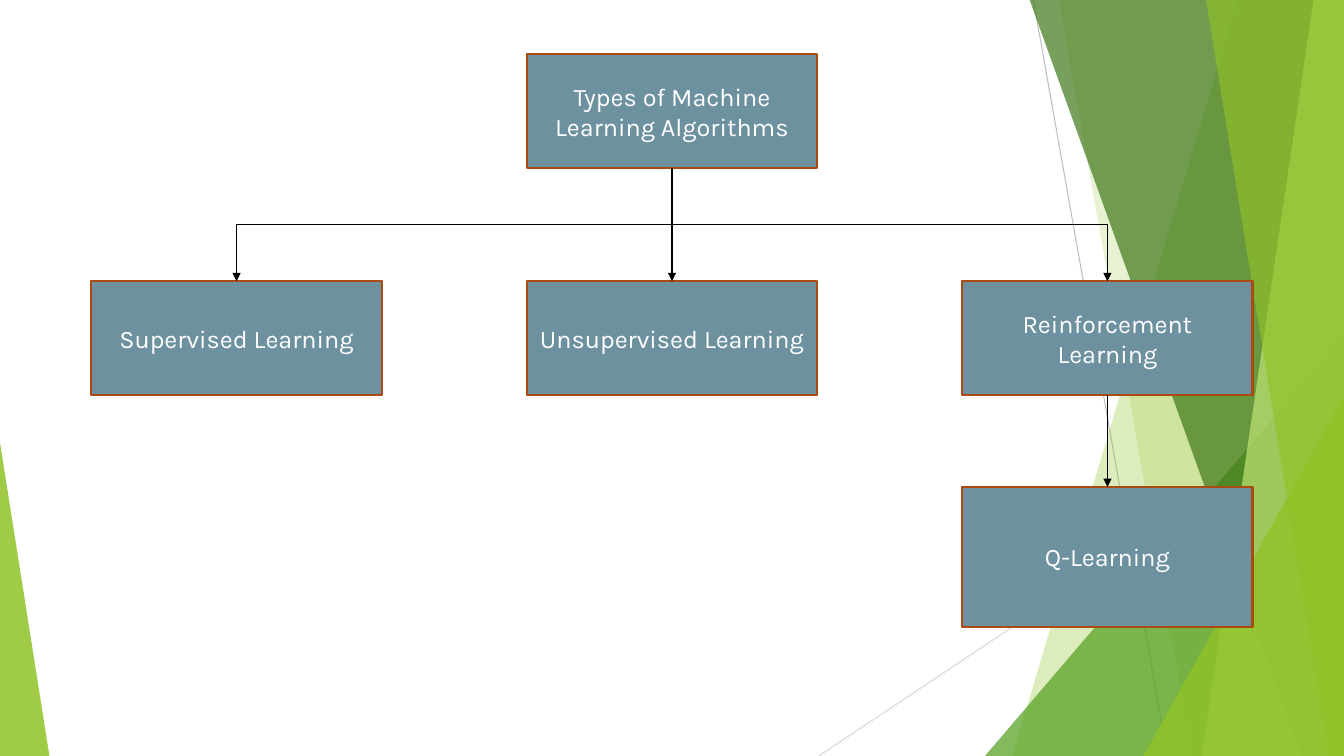
import pptx
import pptx.util
import pptx.dml.color
import pptx.enum.shapes
import pptx.enum.text
import pptx.oxml.ns
from lxml import etree

W, H = pptx.util.Inches(13.33), pptx.util.Inches(7.5)
BOX_W, BOX_H = 21.6, 15.07
FIRST_COL, COL_STEP = 6.8, 32.4
TOP_ROW, MIDDLE_ROW, BOTTOM_ROW = 7.2, 37.2, 64.4
BLEED = -0.13
SHAPE = pptx.enum.shapes.MSO_SHAPE
CONNECTOR = pptx.enum.shapes.MSO_CONNECTOR


def x(percent):
    return round(W * percent / 100)


def y(percent):
    return round(H * percent / 100)


def col_left(col):
    return FIRST_COL + COL_STEP * col


def col_center(col):
    return col_left(col) + BOX_W / 2


def color(value):
    return pptx.dml.color.RGBColor.from_string(value)


def sub(parent, tag, **attrs):
    return etree.SubElement(parent, pptx.oxml.ns.qn(tag), **attrs)


def fill(sp, value, opacity=100):
    sp.shadow.inherit = False
    sp.fill.solid()
    sp.fill.fore_color.rgb = color(value)
    if opacity < 100:
        clr = sp.element.spPr.find(".//" + pptx.oxml.ns.qn("a:srgbClr"))
        sub(clr, "a:alpha", val=str(opacity * 1000))


def style_line(c, value, width, arrow=False):
    c.line.color.rgb = color(value)
    c.line.width = pptx.util.Pt(width)
    if arrow:
        sub(c.line._get_or_add_ln(), "a:tailEnd", type="triangle")
    sub(c.element.spPr, "a:effectLst")


def line(s, x1, y1, x2, y2, value, width, arrow=False):
    c = s.shapes.add_connector(CONNECTOR.STRAIGHT, x(x1), y(y1), x(x2), y(y2))
    style_line(c, value, width, arrow)


def elbow(s, x1, y1, x2, y2):
    drop, span = y(y2) - y(y1), abs(x(x2) - x(x1))
    left = (x(x1) + x(x2) - drop) // 2
    top = (y(y1) + y(y2) - span) // 2
    ends = (left, left + drop) if x2 < x1 else (left + drop, left)
    c = s.shapes.add_connector(CONNECTOR.ELBOW, ends[0], top, ends[1], top + span)
    c.element.spPr.get_or_add_xfrm().set("rot", "5400000" if x2 < x1 else "16200000")
    style_line(c, "000000", 1, True)


def pane(s, top_x, bottom_x, value, opacity):
    fb = s.shapes.build_freeform(x(top_x), y(BLEED))
    fb.add_line_segments([(W, y(BLEED)), (W, H), (x(bottom_x), H)], close=True)
    sp = fb.convert_to_shape()
    fill(sp, value, opacity)
    sp.line.fill.background()


def corner(s, left, right, top, apex, value, opacity):
    sp = s.shapes.add_shape(SHAPE.ISOSCELES_TRIANGLE, x(left), y(top),
                            x(right) - x(left), H - y(top))
    sp.adjustments[0] = apex
    fill(sp, value, opacity)
    sp.line.fill.background()


def box(s, col, row, text, height=BOX_H):
    sp = s.shapes.add_shape(SHAPE.RECTANGLE, x(col_left(col)), y(row), x(BOX_W), y(height))
    fill(sp, "6E91A0")
    sp.line.color.rgb = color("AB4B12")
    sp.line.width = pptx.util.Pt(1.5)
    tf = sp.text_frame
    tf.word_wrap = True
    tf.vertical_anchor = pptx.enum.text.MSO_ANCHOR.MIDDLE
    p = tf.paragraphs[0]
    p.alignment = pptx.enum.text.PP_ALIGN.CENTER
    r = p.add_run()
    r.text = text
    r.font.name = "Karla"
    r.font.size = pptx.util.Pt(18)
    r.font.color.rgb = color("FFFFFF")


def backdrop(s):
    line(s, 76.89, 0, 86.87, 100, "BFBFBF", 0.75)
    line(s, 100, 53.73, 60.92, 100, "D9D9D9", 0.75)
    pane(s, 92.12, 75.32, "90C226", 30)
    pane(s, 78.77, 88.75, "90C226", 20)
    corner(s, 73.29, 100, 44.4, 1, "54A021", 72)
    pane(s, 76.59, 96.85, "3F7819", 70)
    pane(s, 97.75, 89.42, "C0E474", 70)
    pane(s, 89.72, 98.87, "90C226", 65)
    corner(s, 85.07, 100, 52.4, 1, "90C226", 80)
    corner(s, 0, 3.68, 58.53, 0, "90C226", 85)


def tree(s):
    box(s, 1, TOP_ROW, "Types of Machine Learning Algorithms")
    kinds = ["Supervised Learning", "Unsupervised Learning", "Reinforcement Learning"]
    for col, kind in enumerate(kinds):
        box(s, col, MIDDLE_ROW, kind)
    root, root_bottom = col_center(1), TOP_ROW + BOX_H
    elbow(s, root, root_bottom, col_center(0), MIDDLE_ROW)
    line(s, root, root_bottom, root, MIDDLE_ROW, "000000", 1, True)
    elbow(s, root, root_bottom, col_center(2), MIDDLE_ROW)
    box(s, 2, BOTTOM_ROW, "Q-Learning", 18.53)
    line(s, col_center(2), MIDDLE_ROW + BOX_H, col_center(2), BOTTOM_ROW, "000000", 1, True)


def main():
    prs = pptx.Presentation()
    prs.slide_width, prs.slide_height = W, H
    s = prs.slides.add_slide(prs.slide_layouts[6])
    backdrop(s)
    tree(s)
    prs.save("out.pptx")


if __name__ == "__main__":
    main()
